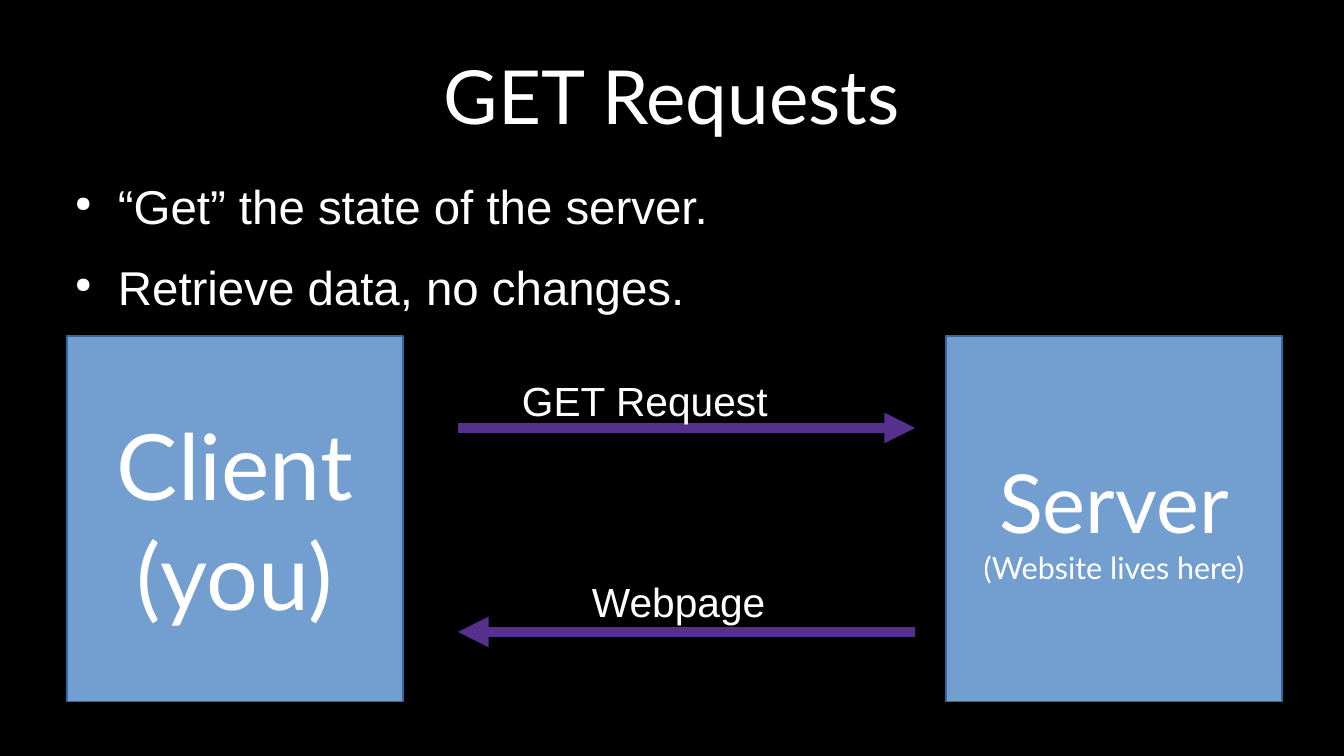
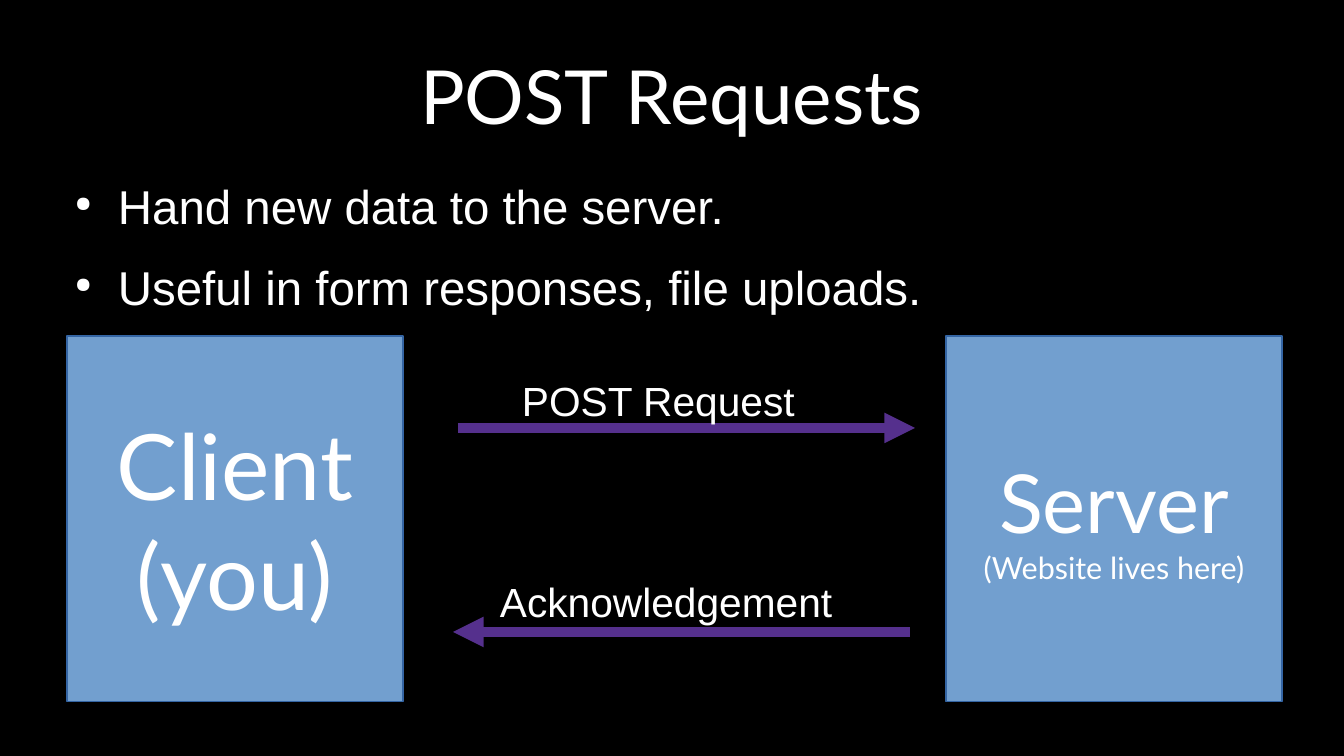
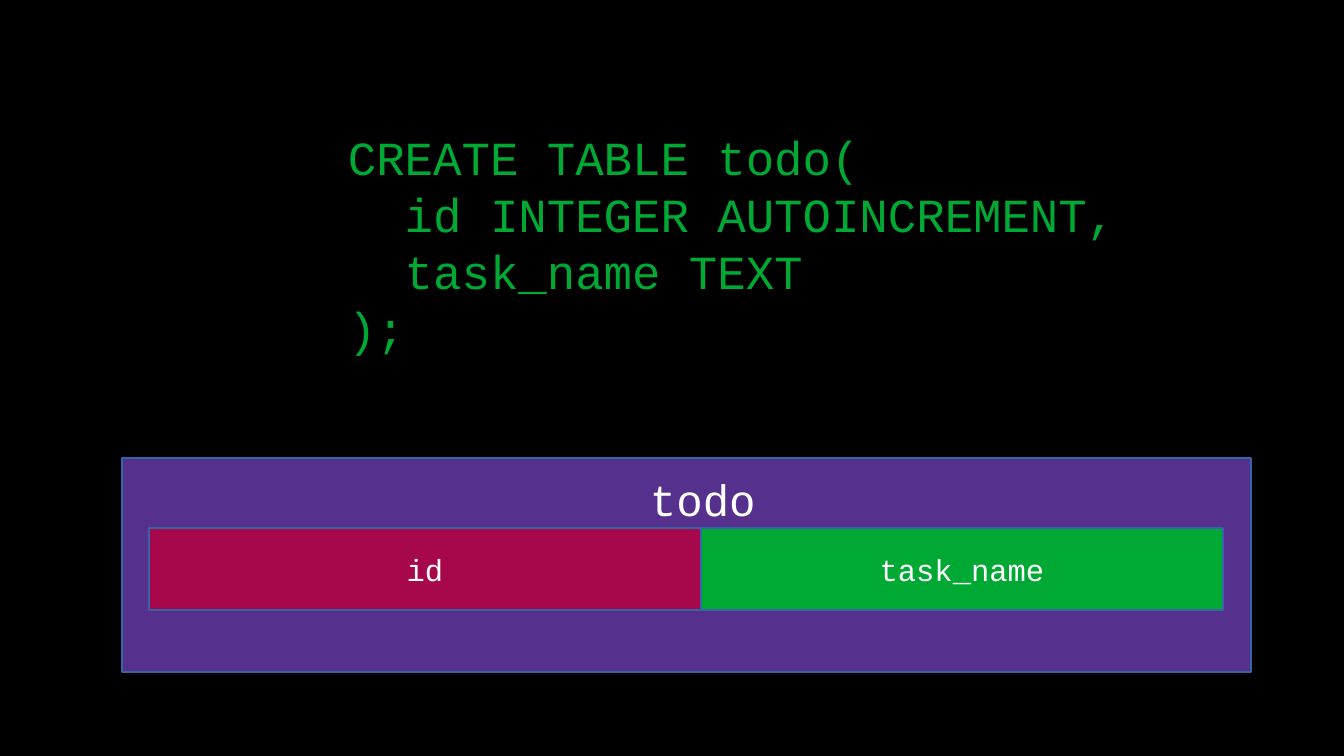
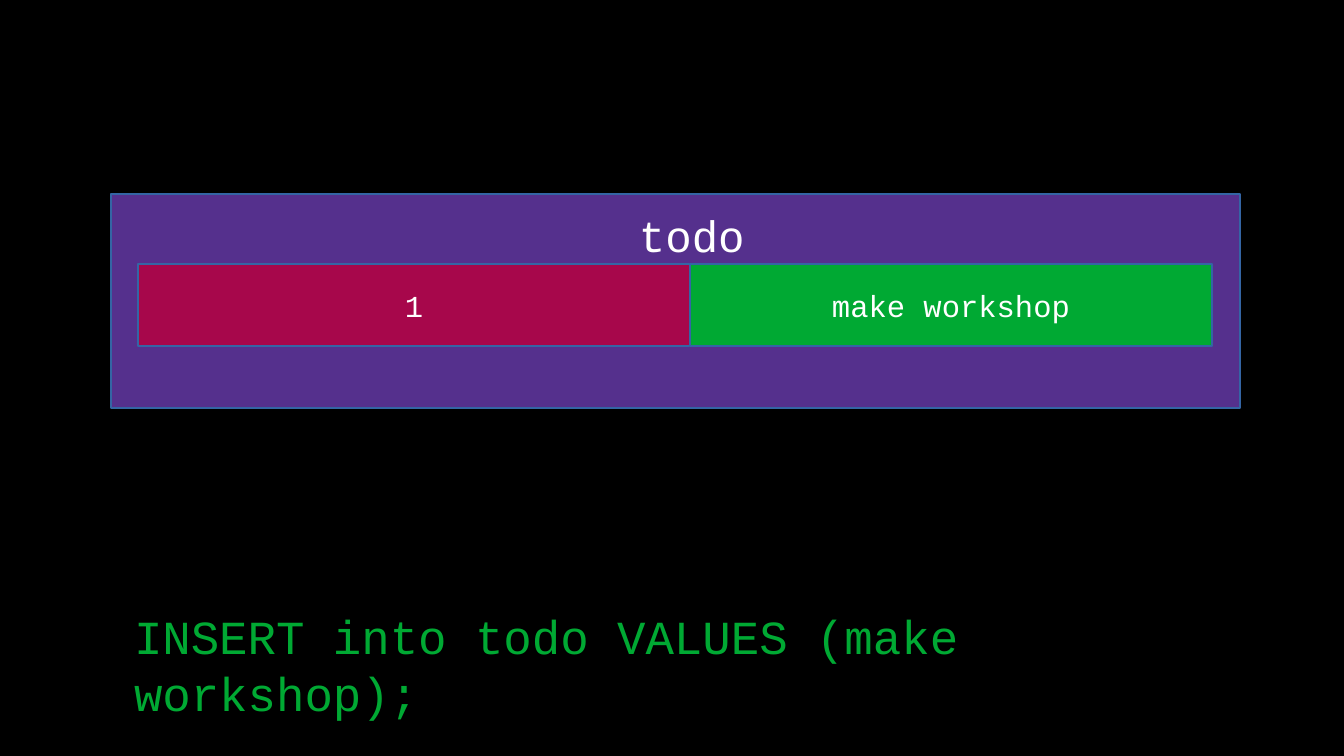
from typing import NamedTuple, Sequence

import lxml.etree
import pptx
import pptx.dml.color
import pptx.enum.shapes
import pptx.enum.text
import pptx.oxml.ns
import pptx.util

PX = 914400 / 122
SLIDE_WIDTH, SLIDE_HEIGHT = 1344, 756

BLACK, WHITE = "000000", "FFFFFF"
BLUE, OUTLINE = "729FCF", "3465A4"
PURPLE, CRIMSON, GREEN = "55308D", "A7074B", "00A933"
HEADING_FONT, BODY_FONT, CODE_FONT = "Lato", "Arial", "Courier New"

ALIGN = pptx.enum.text.PP_ALIGN
ANCHOR = pptx.enum.text.MSO_ANCHOR
TITLE_ONLY, BLANK = 5, 6


class Box(NamedTuple):
    left: int
    top: int
    width: int
    height: int

    def emu(self) -> list[pptx.util.Emu]:
        return [px(length) for length in self]


class Party(NamedTuple):
    box: Box
    lines: Sequence[str]
    sizes: Sequence[int]


class Message(NamedTuple):
    text: str
    label_box: Box
    start: int
    end: int
    y: int


class Exchange(NamedTuple):
    title: str
    points: Sequence[str]
    messages: Sequence[Message]


class Column(NamedTuple):
    left: int
    width: int
    colour: str


TITLE_BOX = Box(67, 31, 1210, 127)
POINTS_BOX = Box(61, 177, 1247, 250)
REQUEST_BOX = Box(510, 370, 375, 94)
REQUEST_Y, REPLY_Y = 428, 632

PARTIES = (
    Party(Box(67, 336, 336, 366), ("Client", "(you)"), (54, 54)),
    Party(Box(946, 336, 336, 366), ("Server", "(Website lives here)"), (48, 18)),
)
EXCHANGES = (
    Exchange(
        "GET Requests",
        ("“Get” the state of the server.", "Retrieve data, no changes."),
        (
            Message("GET Request", REQUEST_BOX, 458, 915, REQUEST_Y),
            Message("Webpage", Box(580, 571, 244, 94), 915, 458, REPLY_Y),
        ),
    ),
    Exchange(
        "POST Requests",
        ("Hand new data to the server.", "Useful in form responses, file uploads."),
        (
            Message("POST Request", REQUEST_BOX, 458, 915, REQUEST_Y),
            Message("Acknowledgement", Box(488, 571, 427, 94), 910, 453, REPLY_Y),
        ),
    ),
)
TODO_COLUMNS = (Column(27, 552, CRIMSON), Column(579, 522, GREEN))
CREATE_CODE = (
    "CREATE TABLE todo(",
    "  id INTEGER AUTOINCREMENT,",
    "  task_name TEXT",
    ");",
)
INSERT_CODE = ("INSERT into todo VALUES (make workshop);",)


def px(length: int) -> pptx.util.Emu:
    return pptx.util.Emu(round(length * PX))


def rgb(colour: str) -> pptx.dml.color.RGBColor:
    return pptx.dml.color.RGBColor.from_string(colour)


def add_bullet(paragraph) -> None:
    properties = paragraph._p.get_or_add_pPr()
    properties.set("marL", str(px(57)))
    properties.set("indent", str(px(-43)))

    def add(parent, tag: str, value: str):
        child = lxml.etree.SubElement(parent, pptx.oxml.ns.qn(tag))
        child.set("char" if tag == "a:buChar" else "val", value)
        return child

    bullet_colour = lxml.etree.SubElement(properties, pptx.oxml.ns.qn("a:buClr"))
    add(bullet_colour, "a:srgbClr", WHITE)
    add(properties, "a:buSzPct", "45000")
    add(properties, "a:buChar", "●")


def write(
    shape,
    lines: Sequence[str],
    *,
    sizes: Sequence[int],
    font: str,
    colour: str = WHITE,
    align=ALIGN.LEFT,
    anchor=ANCHOR.TOP,
    inset: bool = True,
    bulleted: bool = False,
    gap: float = 0,
) -> None:
    """Fill a shape with one paragraph per line, each with its own size."""
    frame = shape.text_frame
    frame.word_wrap = True
    frame.auto_size = pptx.enum.text.MSO_AUTO_SIZE.NONE
    frame.vertical_anchor = anchor
    frame.margin_left = frame.margin_right = px(12 if inset else 0)
    frame.margin_top = frame.margin_bottom = px(6 if inset else 0)
    for index, (line, size) in enumerate(zip(lines, sizes, strict=True)):
        paragraph = frame.add_paragraph() if index else frame.paragraphs[0]
        paragraph.alignment = align
        if bulleted:
            add_bullet(paragraph)
        if index and gap:
            paragraph.space_before = pptx.util.Pt(gap)
        run = paragraph.add_run()
        run.text = line
        run.font.size = pptx.util.Pt(size)
        run.font.name = font
        run.font.color.rgb = rgb(colour)


def add_text(slide, box: Box, lines: Sequence[str], *, size: int, **style) -> None:
    shape = slide.shapes.add_textbox(*box.emu())
    write(shape, lines, sizes=[size] * len(lines), **style)


def add_panel(slide, box: Box, colour: str):
    panel = slide.shapes.add_shape(
        pptx.enum.shapes.MSO_SHAPE.RECTANGLE, *box.emu()
    )
    panel.shadow.inherit = False
    panel.fill.solid()
    panel.fill.fore_color.rgb = rgb(colour)
    panel.line.color.rgb = rgb(OUTLINE)
    panel.line.width = 0
    return panel


def add_message(slide, message: Message) -> None:
    """Draw an arrow with its label above it."""
    arrow = slide.shapes.add_connector(
        pptx.enum.shapes.MSO_CONNECTOR.STRAIGHT,
        px(message.start), px(message.y), px(message.end), px(message.y),
    )
    arrow.line.color.rgb = rgb(PURPLE)
    arrow.line.width = pptx.util.Pt(6)
    properties = arrow._element.spPr
    outline = properties.find(pptx.oxml.ns.qn("a:ln"))
    head = lxml.etree.SubElement(outline, pptx.oxml.ns.qn("a:tailEnd"))
    head.set("type", "triangle")
    lxml.etree.SubElement(properties, pptx.oxml.ns.qn("a:effectLst"))
    add_text(slide, message.label_box, [message.text], size=24, font=BODY_FONT)


def add_exchange_slide(deck, exchange: Exchange) -> None:
    slide = deck.slides.add_slide(deck.slide_layouts[TITLE_ONLY])
    title = slide.shapes.title
    title.left, title.top, title.width, title.height = TITLE_BOX.emu()
    write(title, [exchange.title], sizes=[44], font=HEADING_FONT,
          align=ALIGN.CENTER, anchor=ANCHOR.MIDDLE, inset=False)
    add_text(slide, POINTS_BOX, exchange.points, size=28, font=BODY_FONT,
             inset=False, bulleted=True, gap=14.1)
    for party in PARTIES:
        write(add_panel(slide, party.box, BLUE), party.lines, sizes=party.sizes,
              font=HEADING_FONT, align=ALIGN.CENTER, anchor=ANCHOR.MIDDLE)
    for message in exchange.messages:
        add_message(slide, message)


def add_todo_slide(
    deck, left: int, top: int, values: Sequence[str],
    code: Sequence[str], code_box: Box,
) -> None:
    """Show a statement beside the todo table, drawn from its top left corner."""
    slide = deck.slides.add_slide(deck.slide_layouts[BLANK])
    add_text(slide, code_box, code, size=28, font=CODE_FONT, colour=GREEN)
    add_panel(slide, Box(left, top, 1129, 214), PURPLE)
    for column, value in zip(TODO_COLUMNS, values, strict=True):
        cell_box = Box(left + column.left, top + 70, column.width, 82)
        write(add_panel(slide, cell_box, column.colour), [value], sizes=[18],
              font=CODE_FONT, align=ALIGN.CENTER, anchor=ANCHOR.MIDDLE)
    add_text(slide, Box(left + 516, top + 8, 151, 72), ["todo"],
             size=26, font=CODE_FONT)


def main() -> None:
    deck = pptx.Presentation()
    deck.slide_width, deck.slide_height = px(SLIDE_WIDTH), px(SLIDE_HEIGHT)
    backdrop = deck.slide_master.background.fill
    backdrop.solid()
    backdrop.fore_color.rgb = rgb(BLACK)

    for exchange in EXCHANGES:
        add_exchange_slide(deck, exchange)
    add_todo_slide(deck, 122, 458, ("id", "task_name"),
                   CREATE_CODE, Box(336, 122, 793, 304))
    add_todo_slide(deck, 111, 194, ("1", "make workshop"),
                   INSERT_CODE, Box(122, 601, 1129, 111))
    deck.save("out.pptx")


if __name__ == "__main__":
    main()
